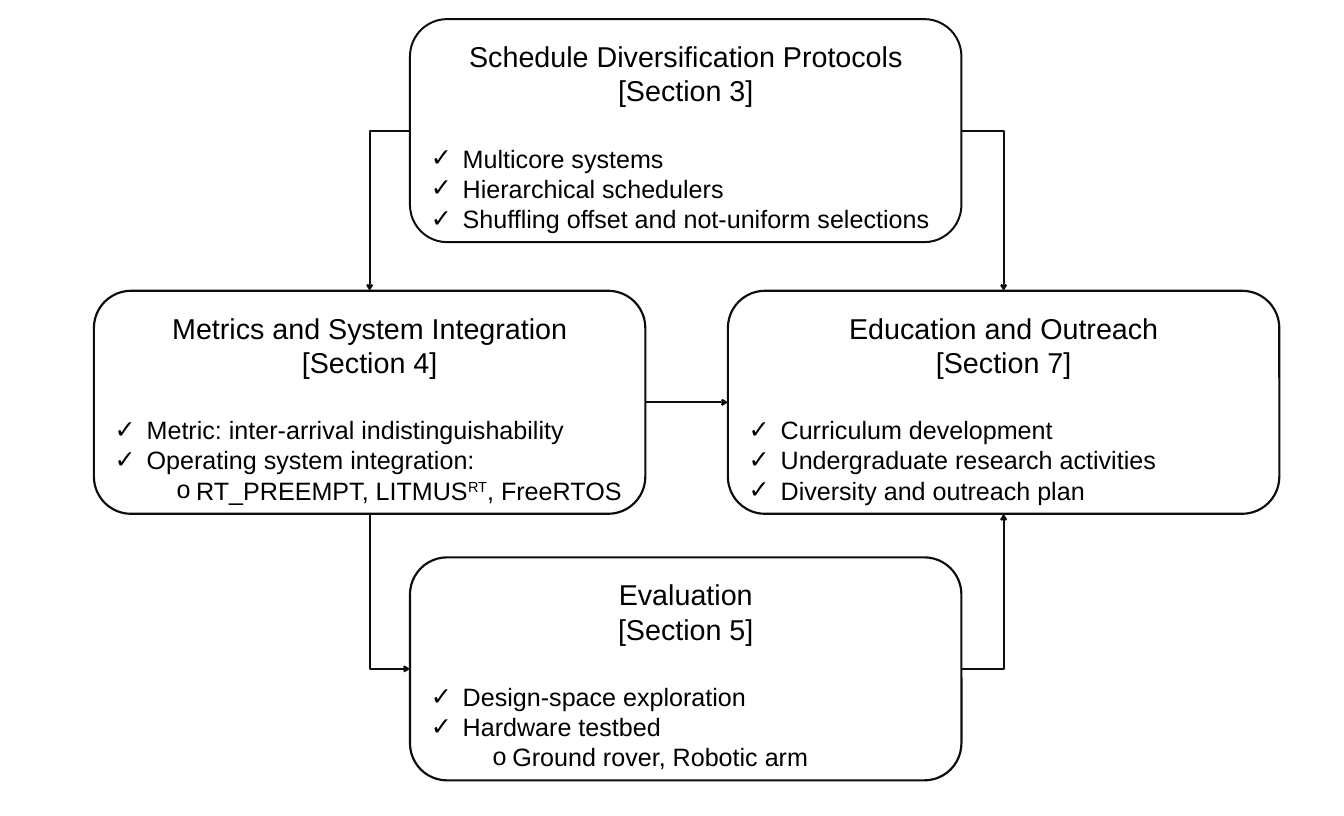
from dataclasses import dataclass
from enum import IntEnum

from lxml.etree import SubElement
from pptx import Presentation
from pptx.dml.color import RGBColor
from pptx.enum.shapes import MSO_CONNECTOR as Route, MSO_SHAPE as Preset
from pptx.enum.text import MSO_ANCHOR as Anchor, MSO_AUTO_SIZE as AutoSize, PP_ALIGN as Align
from pptx.oxml.ns import qn
from pptx.shapes.autoshape import Shape
from pptx.slide import Slide
from pptx.text.text import TextFrame, _Paragraph as Paragraph
from pptx.util import Cm, Pt

FONT = "Arial"
TEXT_COLOR = "000000"
LINE_COLOR = "0D0D0D"
BOX_WIDTH, BOX_HEIGHT = 27.13, 10.97
COMPARISON_LAYOUT = 4


class Side(IntEnum):
    """Connection sites of a rounded rectangle."""
    TOP = 0
    LEFT = 1
    BOTTOM = 2
    RIGHT = 3


@dataclass(frozen=True)
class Bullet:
    mark: str
    margin: float
    hanging: float


@dataclass(frozen=True)
class Item:
    text: str
    level: int = 0


@dataclass(frozen=True)
class Topic:
    name: str
    section: int
    left: float
    top: float
    items: tuple[Item, ...]
    outline: float = 3


@dataclass(frozen=True)
class Link:
    """A link leaves its first box sideways; "headEnd" puts the arrow there."""
    first: str
    first_side: Side
    second: str
    second_side: Side
    arrow_end: str = "tailEnd"
    bent: bool = True


BULLETS = (Bullet("✓", 1.57, 1.57), Bullet("o", 4.01, 0.97))

PROTOCOLS = "Schedule Diversification Protocols"
METRICS = "Metrics and System Integration"
EVALUATION = "Evaluation"
EDUCATION = "Education and Outreach"

TOPICS = (
    Topic(PROTOCOLS, 3, 20.17, 0.94, (
        Item("Multicore systems"),
        Item("Hierarchical schedulers"),
        Item("Shuffling offset and not-uniform selections"),
    ), outline=2.75),
    Topic(METRICS, 4, 4.62, 14.3, (
        Item("Metric: inter-arrival indistinguishability"),
        Item("Operating system integration:"),
        Item("RT_PREEMPT, LITMUS^RT^, FreeRTOS", level=1),
    )),
    Topic(EVALUATION, 5, 20.17, 27.41, (
        Item("Design-space exploration"),
        Item("Hardware testbed"),
        Item("Ground rover, Robotic arm", level=1),
    )),
    Topic(EDUCATION, 7, 35.81, 14.3, (
        Item("Curriculum development"),
        Item("Undergraduate research activities"),
        Item("Diversity and outreach plan"),
    )),
)

LINKS = (
    Link(PROTOCOLS, Side.LEFT, METRICS, Side.TOP),
    Link(EVALUATION, Side.LEFT, METRICS, Side.BOTTOM, arrow_end="headEnd"),
    Link(PROTOCOLS, Side.RIGHT, EDUCATION, Side.TOP),
    Link(EVALUATION, Side.RIGHT, EDUCATION, Side.BOTTOM),
    Link(METRICS, Side.RIGHT, EDUCATION, Side.LEFT, bent=False),
)


def color(hex_code: str) -> RGBColor:
    return RGBColor.from_string(hex_code)


def place(shape: Shape, left: float, top: float, width: float, height: float) -> None:
    shape.left, shape.top = Cm(left), Cm(top)
    shape.width, shape.height = Cm(width), Cm(height)


def prepare_frame(shape: Shape) -> TextFrame:
    frame = shape.text_frame
    frame.word_wrap = True
    frame.auto_size = AutoSize.NONE
    frame.vertical_anchor = Anchor.TOP
    return frame


def write(para: Paragraph, text: str, *, size: float, align: Align = Align.LEFT) -> None:
    """Fill a paragraph; text between carets is raised."""
    para.alignment = align
    para.space_before = Pt(0)
    for index, part in enumerate(text.split("^")):
        span = para.add_run()
        span.text = part
        span.font.name = FONT
        span.font.size = Pt(size)
        span.font.bold = False
        span.font.color.rgb = color(TEXT_COLOR)
        if index % 2:
            span._r.get_or_add_rPr().set("baseline", "30000")


def add_bullet(para: Paragraph, bullet: Bullet) -> None:
    properties = para._p.get_or_add_pPr()
    properties.set("marL", str(Cm(bullet.margin)))
    properties.set("indent", str(-Cm(bullet.hanging)))
    SubElement(properties, qn("a:buFont"), typeface=FONT)
    SubElement(properties, qn("a:buChar"), char=bullet.mark)


def draw_box(page: Slide, topic: Topic) -> Shape:
    box = page.shapes.add_shape(Preset.ROUNDED_RECTANGLE, 0, 0, 0, 0)
    place(box, topic.left, topic.top, BOX_WIDTH, BOX_HEIGHT)
    box.shadow.inherit = False
    box.fill.background()
    box.line.color.rgb = color(LINE_COLOR)
    box.line.width = Pt(topic.outline)
    return box


def write_heading(shape: Shape, topic: Topic) -> None:
    place(shape, topic.left, topic.top + 0.84, BOX_WIDTH, 3.68)
    frame = prepare_frame(shape)
    write(frame.paragraphs[0], topic.name, size=40, align=Align.CENTER)
    write(frame.add_paragraph(), f"[Section {topic.section}]", size=40, align=Align.CENTER)


def write_list(shape: Shape, topic: Topic) -> None:
    place(shape, topic.left + 0.77, topic.top + 5.97, 25.6, 4.75)
    frame = prepare_frame(shape)
    for index, item in enumerate(topic.items):
        para = frame.add_paragraph() if index else frame.paragraphs[0]
        para.level = item.level
        add_bullet(para, BULLETS[item.level])
        write(para, item.text, size=35)


def draw_link(page: Slide, link: Link, boxes: dict[str, Shape]) -> None:
    route = Route.ELBOW if link.bent else Route.STRAIGHT
    connector = page.shapes.add_connector(route, 0, 0, 0, 0)
    connector.begin_connect(boxes[link.first], link.first_side)
    connector.end_connect(boxes[link.second], link.second_side)
    connector.line.color.rgb = color(LINE_COLOR)
    connector.line.width = Pt(2.75)
    properties = connector.element.spPr
    if link.bent:
        properties.find(qn("a:prstGeom")).set("prst", "bentConnector2")
    SubElement(properties.find(qn("a:ln")), qn(f"a:{link.arrow_end}"), type="arrow")
    SubElement(properties, qn("a:effectLst"))


def main() -> None:
    deck = Presentation()
    deck.slide_width, deck.slide_height = Cm(66.12), Cm(40.13)
    page = deck.slides.add_slide(deck.slide_layouts[COMPARISON_LAYOUT])
    title, *bodies = page.placeholders

    boxes = {}
    for topic, body in zip(TOPICS, bodies):
        boxes[topic.name] = draw_box(page, topic)
        is_first = topic is TOPICS[0]
        heading = title if is_first else page.shapes.add_textbox(0, 0, 0, 0)
        write_heading(heading, topic)
        write_list(body, topic)
    for link in LINKS:
        draw_link(page, link, boxes)
    deck.save("out.pptx")


if __name__ == "__main__":
    main()
